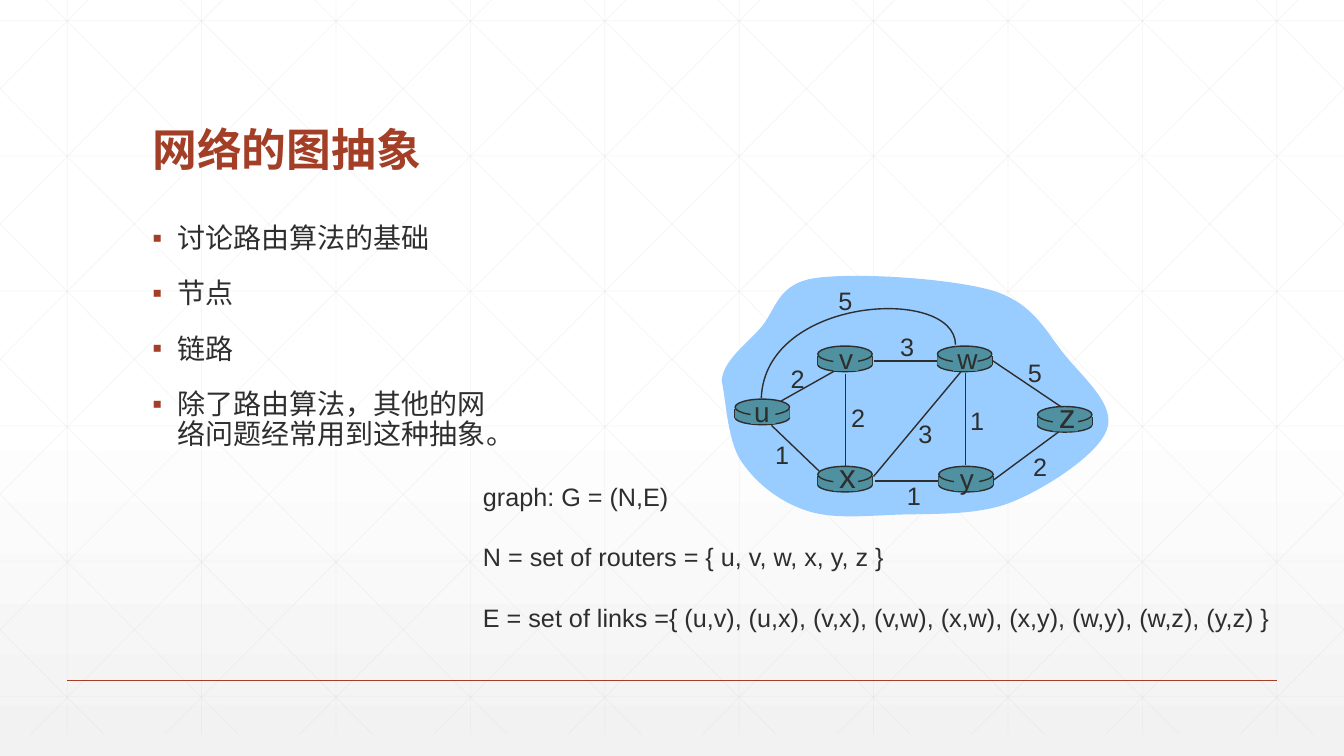
"""Build the slide on the graph abstraction of a network, on a grid of 20 columns."""
import lxml.etree
import pptx
import pptx.dml.color
import pptx.enum.shapes
import pptx.enum.text
import pptx.oxml.ns
import pptx.util

THEME = {
    "accent": pptx.dml.color.RGBColor.from_string("A43F27"),
    "ink": pptx.dml.color.RGBColor.from_string("2D2E2D"),
    "router": pptx.dml.color.RGBColor.from_string("4F91A1"),
    "cloud": pptx.dml.color.RGBColor.from_string("99CCFF"),
    "grid": pptx.dml.color.RGBColor.from_string("D9D9D9"),
    "paper": pptx.dml.color.RGBColor.from_string("FFFFFF"),
    "shade": pptx.dml.color.RGBColor.from_string("F2F2F2"),
    "chinese": "Noto Sans CJK SC",
    "latin": "Arial",
    "title": 32,
    "body": 20,
    "formula": 18,
    "weight": 18,
    "router small": 20,
    "router large": 24,
}
COLUMNS, ROWS = 20, 11.25
qn = pptx.oxml.ns.qn
ALIGN = pptx.enum.text.PP_ALIGN
ANCHOR = pptx.enum.text.MSO_ANCHOR
SHAPE = pptx.enum.shapes.MSO_SHAPE

presentation = pptx.Presentation()
presentation.slide_width = pptx.util.Emu(12192000)
presentation.slide_height = pptx.util.Inches(7.5)
CELL = presentation.slide_width / COLUMNS
slide = presentation.slides.add_slide(presentation.slide_layouts[6])


def add_line(start, end, color="ink", width=1, opacity=100):
    """Draw a straight line between two grid points."""
    connector = slide.shapes.add_connector(
        pptx.enum.shapes.MSO_CONNECTOR.STRAIGHT,
        *(round(value * CELL) for value in (*start, *end)))
    connector.line.color.rgb = THEME[color]
    connector.line.width = pptx.util.Pt(width)
    if opacity < 100:
        line_color = connector._element.xpath(".//a:srgbClr")[0]
        lxml.etree.SubElement(line_color, qn("a:alpha"), val=str(opacity * 1000))
    lxml.etree.SubElement(connector._element.spPr, qn("a:effectLst"))


def add_text(box, lines, size, font, color="ink", bold=False, wrap=True, anchor=ANCHOR.TOP,
             align=ALIGN.LEFT, spacing=1.0, gap=0, bullet=None):
    """Write paragraphs in a text box placed on the grid."""
    shape = slide.shapes.add_textbox(*(round(value * CELL) for value in box))
    frame = shape.text_frame
    frame.word_wrap = wrap
    frame.vertical_anchor = anchor
    for index, line in enumerate(lines):
        paragraph = frame.add_paragraph() if index else frame.paragraphs[0]
        paragraph.alignment = align
        paragraph.line_spacing = spacing
        if index:
            paragraph.space_before = pptx.util.Pt(gap)
        if bullet:
            properties = paragraph._p.get_or_add_pPr()
            indent = pptx.util.Inches(0.25)
            properties.set("marL", str(indent))
            properties.set("indent", str(-indent))
            bullet_color = lxml.etree.SubElement(properties, qn("a:buClr"))
            lxml.etree.SubElement(bullet_color, qn("a:srgbClr"), val=str(THEME["accent"]))
            lxml.etree.SubElement(properties, qn("a:buFont"), typeface=THEME["latin"])
            lxml.etree.SubElement(properties, qn("a:buChar"), char=bullet)
        run = paragraph.add_run()
        run.text = line
        run.font.size = pptx.util.Pt(size)
        run.font.bold = bold
        run.font.color.rgb = THEME[color]
        run.font.name = THEME[font]
        lxml.etree.SubElement(run._r.get_or_add_rPr(), qn("a:ea"), typeface=THEME[font])


background = slide.background.fill
background.gradient()
background.gradient_angle = 270
for stop, position, color in zip(background.gradient_stops, (0.53, 1), ("paper", "shade")):
    stop.position = position
    stop.color.rgb = THEME[color]

TOP, BOTTOM, RUN = -0.32, 10.93, 11.18
grid_lines = [((column, TOP), (column, BOTTOM)) for column in range(1, COLUMNS, 2)]
grid_lines += [((0, 0.31 + 2.01 * row), (COLUMNS, 0.31 + 2.01 * row)) for row in range(6)]
slope = (BOTTOM - TOP) / RUN
for step in range(-5, 10):
    origin = 0.37 + 2 * step
    left, right = max(origin, 0), min(origin + RUN, COLUMNS)
    upper, lower = (TOP + (x - origin) * slope for x in (left, right))
    grid_lines.append(((left, upper), (right, lower)))
    grid_lines.append(((COLUMNS - left, upper), (COLUMNS - right, lower)))
for start, end in grid_lines:
    add_line(start, end, "grid", 0.5, 25)
add_line((1, ROWS * 0.9), (COLUMNS - 1, ROWS * 0.9), "accent")

add_text((2.12, 0.82, 15.75, 1.88), ["网络的图抽象"], THEME["title"], "chinese", "accent",
         bold=True, anchor=ANCHOR.BOTTOM, spacing=0.9)
add_text((2.12, 3.26, 5.49, 6.26),
         ["讨论路由算法的基础", "节点", "链路", "除了路由算法，其他的网络问题经常用到这种抽象。"],
         THEME["body"], "chinese", spacing=0.9, gap=18, bullet="▪")

cloud_outline = [
    (10.74, 5.67),
    (10.76, 5.37), (11.09, 5.14), (11.31, 4.89),
    (11.55, 4.63), (11.55, 4.23), (12.12, 4.14),
    (12.71, 4.05), (14.16, 4.14), (14.79, 4.33),
    (15.41, 4.53), (15.58, 4.97), (15.87, 5.31),
    (16.16, 5.66), (16.61, 6.04), (16.47, 6.4),
    (16.34, 6.76), (15.58, 7.26), (15.06, 7.47),
    (14.54, 7.68), (13.85, 7.64), (13.33, 7.66),
    (12.81, 7.68), (12.35, 7.73), (11.95, 7.58),
    (11.56, 7.44), (11.22, 7.16), (11.01, 6.83),
    (10.82, 6.51), (10.8, 5.91), (10.74, 5.67),
]
link_u_w = [(14.22, 5.13), (14.21, 4.25), (11.39, 4.41), (11.33, 5.92)]
for controls, closed in ((cloud_outline, True), (link_u_w, False)):
    first, *others = [tuple(round(value * CELL) for value in point) for point in controls]
    builder = slide.shapes.build_freeform(*first)
    builder.add_line_segments(others, close=closed)
    curve = builder.convert_to_shape()
    segments = curve._element.xpath(".//a:lnTo")
    for index in range(0, len(segments), 3):
        bezier = lxml.etree.Element(qn("a:cubicBezTo"))
        segments[index].addprevious(bezier)
        for segment in segments[index:index + 3]:
            bezier.append(segment[0])
            segment.getparent().remove(segment)
    curve.shadow.inherit = False
    if closed:
        curve.fill.solid()
        curve.fill.fore_color.rgb = THEME["cloud"]
        curve.line.fill.background()
    else:
        curve.fill.background()
        curve.line.color.rgb = THEME["ink"]
        curve.line.width = pptx.util.Pt(1)

links = [
    ((11.62, 5.97), (12.51, 5.47)),
    ((12.58, 5.57), (12.58, 6.96)),
    ((11.48, 6.33), (12.19, 7.01)),
    ((13, 7.09), (14.31, 5.52)),
    ((13.02, 7.16), (13.96, 7.16)),
    ((14.37, 5.55), (14.37, 6.92)),
    ((14.79, 7.14), (15.75, 6.43)),
    ((14.76, 5.36), (15.8, 6.06)),
    ((13, 5.37), (13.95, 5.37)),
]
for start, end in links:
    add_line(start, end)

labels = [
    ("2", 11.87, 5.64), ("2", 12.77, 6.21), ("1", 11.64, 6.77), ("3", 13.77, 6.45),
    ("1", 13.6, 7.38), ("1", 14.54, 6.26), ("2", 15.48, 6.94), ("5", 15.4, 5.55),
    ("3", 13.5, 5.16), ("5", 12.58, 4.47),
]
labels = [(*label, THEME["weight"]) for label in labels]

routers = [
    ("u", (10.94, 5.94), (11.34, 6.13), "router small"),
    ("x", (12.17, 6.94), (12.61, 7.09), "router large"),
    ("v", (12.17, 5.15), (12.59, 5.34), "router small"),
    ("w", (13.95, 5.15), (14.37, 5.34), "router small"),
    ("y", (13.97, 6.94), (14.39, 7.13), "router small"),
    ("z", (15.44, 6.05), (15.88, 6.21), "router large"),
]
ROUTER_WIDTH = 0.81
router_parts = [
    (SHAPE.OVAL, 0, 0.17, ROUTER_WIDTH, 0.21, True),
    (SHAPE.RECTANGLE, 0, 0.15, ROUTER_WIDTH, 0.13, False),
    (SHAPE.OVAL, 0, 0, ROUTER_WIDTH, 0.24, True),
    (SHAPE.RECTANGLE, 0.23, 0.03, 0.37, 0.34, False),
]
for name, (left, top), center, size in routers:
    for side in (left, left + ROUTER_WIDTH):
        add_line((side, top + 0.15), (side, top + 0.28))
    for kind, across, down, width, height, outlined in router_parts:
        box = (left + across, top + down, width, height)
        part = slide.shapes.add_shape(kind, *(round(value * CELL) for value in box))
        part.shadow.inherit = False
        part.fill.solid()
        part.fill.fore_color.rgb = THEME["router"]
        if outlined:
            part.line.color.rgb = THEME["ink"]
            part.line.width = pptx.util.Pt(1)
        else:
            part.line.fill.background()
    labels.append((name, *center, THEME[size]))

for text, center, middle, size in labels:
    width, height = 0.54, size / 30
    add_text((center - width / 2, middle - height / 2, width, height), [text], size, "latin",
             wrap=False, align=ALIGN.CENTER)

add_text((7.04, 7.09, 12.13, 2.4),
         ["graph: G = (N,E)",
          "N = set of routers = { u, v, w, x, y, z }",
          "E = set of links ={ (u,v), (u,x), (v,x), (v,w), (x,w), (x,y), (w,y), (w,z), (y,z) }"],
         THEME["formula"], "latin", wrap=False, gap=21.5)

presentation.save("out.pptx")
